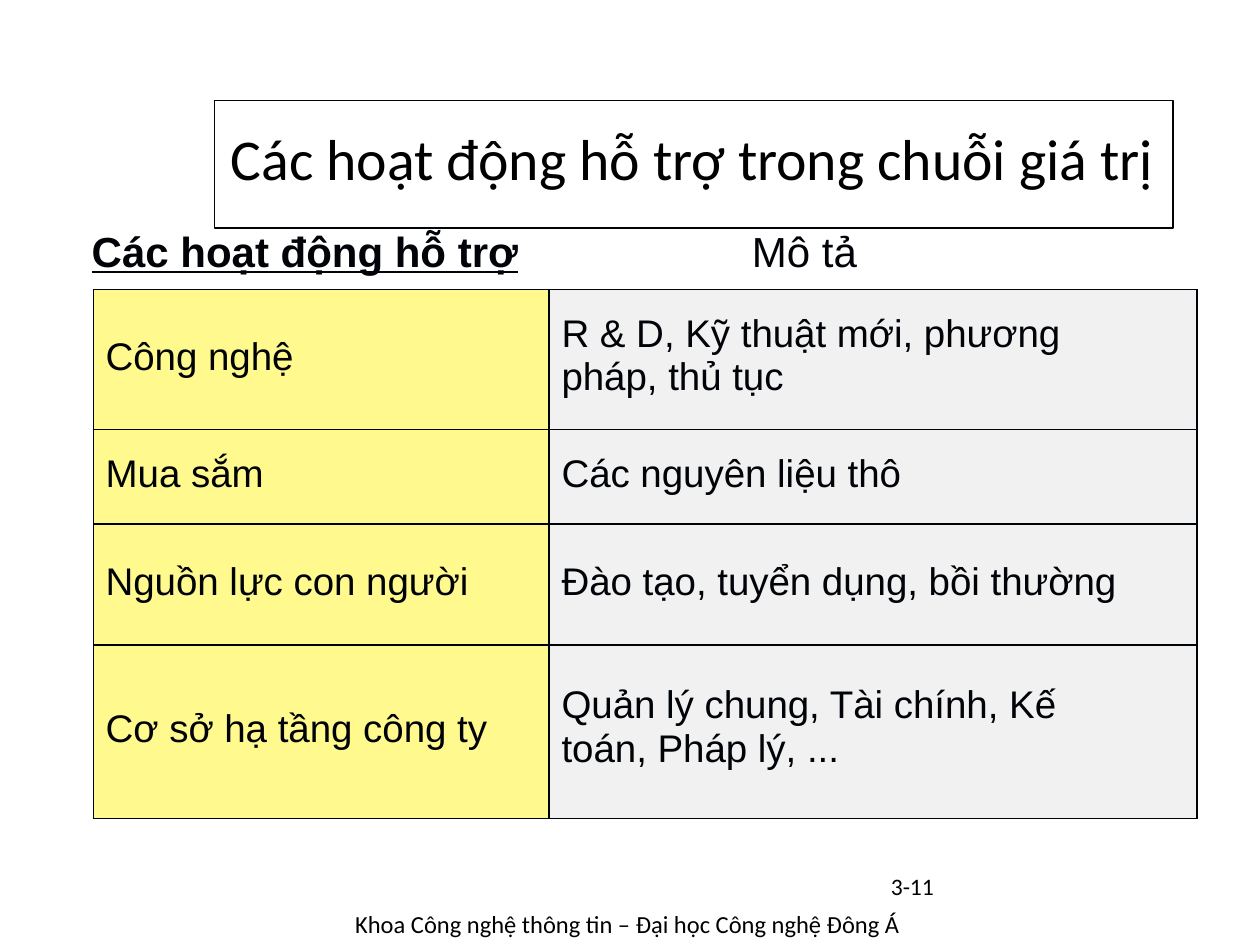
from pptx import Presentation
from pptx import util as u
from pptx.dml.color import RGBColor
from pptx.enum import shapes, text
from pptx.oxml import parse_xml
from pptx.oxml.ns import nsdecls

INK, YELLOW, GREY = "000308", "FFF98E", "F1F1F1"
TITLE = "Các hoạt động hỗ trợ trong chuỗi giá trị"
HEADINGS = ("Các hoạt động hỗ trợ", "Mô tả")
FOOTER = "Khoa Công nghệ thông tin – Đại học Công nghệ Đông Á"
PAGE_NUMBER = "3-11"
COLUMNS = ((9.19, YELLOW), (13.06, GREY))
ROWS = (
    (2.82, (("Công nghệ", 0.92), ("R & D, Kỹ thuật mới, phương pháp, thủ tục", 0.46))),
    (1.9, (("Mua sắm", 0.46), ("Các nguyên liệu thô", 0.46))),
    (2.44, (("Nguồn lực con người", 0.74), ("Đào tạo, tuyển dụng, bồi thường", 0.74))),
    (3.5, (("Cơ sở hạ tầng công ty", 1.27),
           ("Quản lý chung, Tài chính, Kế\ntoán, Pháp lý, ...", 0.79))),
)


def color(value):
    return RGBColor.from_string(value)


def write(frame, content, size, font="Arial", ink=INK, margins=(0, 0, 0, 0),
          wrap=True, anchor=text.MSO_ANCHOR.TOP):
    frame.word_wrap = wrap
    frame.vertical_anchor = anchor
    (frame.margin_left, frame.margin_top,
     frame.margin_right, frame.margin_bottom) = map(u.Cm, margins)
    frame.text = content
    for para in frame.paragraphs:
        for span in para.runs:
            span.font.name = font
            span.font.size = u.Pt(size)
            span.font.color.rgb = color(ink)
    return frame.paragraphs[0]


def add_text(page, place, content, size, **style):
    box = page.shapes.add_textbox(*map(u.Cm, place))
    return write(box.text_frame, content, size, **style)


def add_borders(cell):
    properties = cell._tc.get_or_add_tcPr()
    for index, side in enumerate(("lnL", "lnR", "lnT", "lnB")):
        properties.insert(index, parse_xml(
            f'<a:{side} {nsdecls("a")} w="{u.Pt(1)}"><a:solidFill>'
            f'<a:srgbClr val="{INK}"/></a:solidFill></a:{side}>'))


def add_activities(page):
    width = sum(column[0] for column in COLUMNS)
    height = sum(row[0] for row in ROWS)
    table = page.shapes.add_table(
        len(ROWS), len(COLUMNS), *map(u.Cm, (1.88, 5.84, width, height))).table
    table.first_row = table.horz_banding = False
    for column, (size, fill) in zip(table.columns, COLUMNS):
        column.width = u.Cm(size)
    for r, (size, cells) in enumerate(ROWS):
        table.rows[r].height = u.Cm(size)
        for c, (content, top) in enumerate(cells):
            cell = table.cell(r, c)
            write(cell.text_frame, content, 22)
            cell.margin_left, cell.margin_top = u.Cm(0.25), u.Cm(top)
            cell.margin_right, cell.margin_bottom = u.Cm(1.2 * c), 0
            cell.fill.solid()
            cell.fill.fore_color.rgb = color(COLUMNS[c][1])
            add_borders(cell)


def add_headings(page):
    para = add_text(page, (1.83, 4.52, 15.47, 1.09), "\t".join(HEADINGS), 24,
                    margins=(0.02, 0.02, 0, 0))
    para._p.get_or_add_pPr().append(parse_xml(
        f'<a:tabLst {nsdecls("a")}><a:tab pos="{u.Cm(13.31)}" algn="l"/></a:tabLst>'))
    para.runs[0].text = HEADINGS[0]
    para.runs[0].font.bold = para.runs[0].font.underline = True
    span = para.add_run()
    span.text = "\t" + HEADINGS[1]
    span.font.name, span.font.size = "Arial", u.Pt(24)
    span.font.color.rgb = color(INK)


def main():
    deck = Presentation()
    deck.slide_width, deck.slide_height = u.Cm(25.4), u.Cm(19.05)
    page = deck.slides.add_slide(deck.slide_layouts[6])

    add_text(page, (6.91, 18.19, 11.61, 0.86), FOOTER, 14, font="Calibri",
             ink="000000", margins=(0.25, 0.13, 0.25, 0.13), wrap=False)
    panel = page.shapes.add_shape(
        shapes.MSO_SHAPE.RECTANGLE, *map(u.Cm, (4.32, 2.03, 19.33, 2.57)))
    panel.shadow.inherit = False
    panel.fill.background()
    panel.line.color.rgb = color(INK)
    panel.line.width = u.Pt(0.75)
    add_text(page, (4.65, 2.44, 18.62, 1.45), TITLE, 33, font="Calibri",
             ink="000000", margins=(0, 0.03, 0, 0), wrap=False,
             anchor=text.MSO_ANCHOR.MIDDLE)
    number = add_text(page, (17.93, 17.65, 5.72, 1.02), PAGE_NUMBER, 13.5,
                      font="Calibri", ink="000000", margins=(0.03, 0, 0, 0))
    number.line_spacing = u.Pt(14.2)
    add_activities(page)
    add_headings(page)
    deck.save("out.pptx")


if __name__ == "__main__":
    main()
